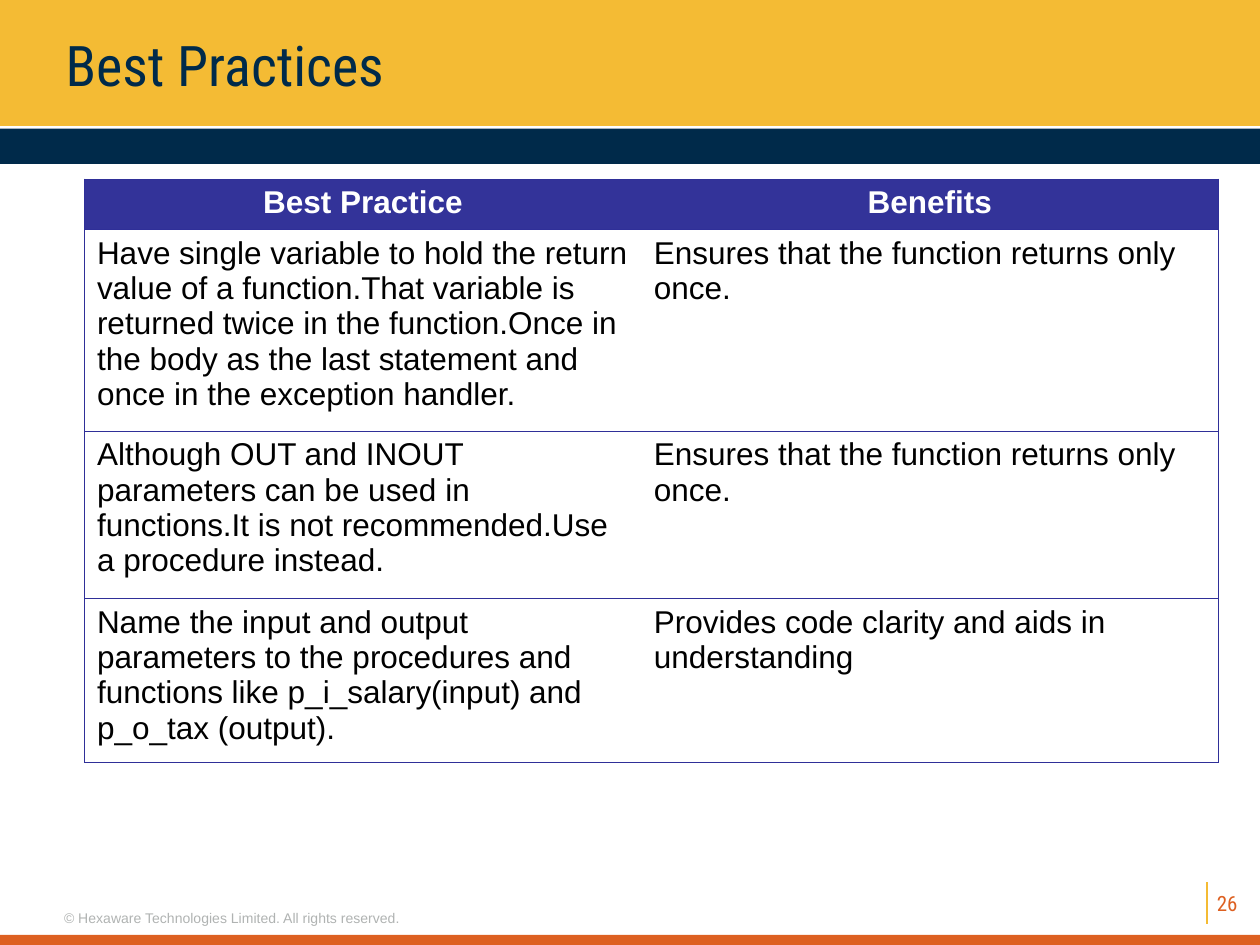
from pptx import Presentation
from pptx.dml.color import RGBColor
from pptx.enum.shapes import MSO_CONNECTOR, MSO_SHAPE
from pptx.enum.text import MSO_ANCHOR, MSO_AUTO_SIZE, PP_ALIGN
from pptx.oxml.ns import qn
from pptx.util import Inches, Pt
from lxml.etree import SubElement

COLORS = {
    "gold": "F4BB34",
    "navy": "002A4A",
    "orange": "DD6021",
    "gray": "B0B3B2",
    "header": "333399",
    "border": "2F2F98",
    "white": "FFFFFF",
    "black": "000000",
}
HEADING_FONT = "Roboto Condensed"
BODY_FONT = "Arial"

PRACTICES = [
    ("Best Practice", "Benefits"),
    (
        "Have single variable to hold the return value of a function.That variable is "
        "returned twice in the function.Once in the body as the last statement and "
        "once in the exception handler.",
        "Ensures that the function returns only once.",
    ),
    (
        "Although OUT and INOUT parameters can be used in functions.It is not "
        "recommended.Use a procedure instead.",
        "Ensures that the function returns only once.",
    ),
    (
        "Name the input and output parameters to the procedures and functions like "
        "p_i_salary(input) and p_o_tax (output).",
        "Provides code clarity and aids in understanding",
    ),
]


class SlideBuilder:
    def __init__(self, slide):
        self.slide = slide
        self.shapes = slide.shapes

    def color(self, name):
        return RGBColor.from_string(COLORS[name])

    def set_text(self, text_frame, text, size, color, font=BODY_FONT, bold=False,
                 align=PP_ALIGN.LEFT):
        text_frame.text = text
        paragraph = text_frame.paragraphs[0]
        paragraph.alignment = align
        run_font = paragraph.runs[0].font
        run_font.name = font
        run_font.size = Pt(size)
        run_font.bold = bold
        run_font.color.rgb = self.color(color)

    def band(self, top, height, color):
        shape = self.shapes.add_shape(
            MSO_SHAPE.RECTANGLE, 0, Inches(top), Inches(10), Inches(height))
        shape.shadow.inherit = False
        shape.fill.solid()
        shape.fill.fore_color.rgb = self.color(color)
        shape.line.fill.background()

    def vertical_line(self, left, top, bottom, color):
        line = self.shapes.add_connector(
            MSO_CONNECTOR.STRAIGHT, Inches(left), Inches(top), Inches(left), Inches(bottom))
        line.line.color.rgb = self.color(color)
        line.line.width = Pt(0.75)
        SubElement(line._element.spPr, qn("a:effectLst"))

    def title(self, text, left, top, width, height):
        title = self.shapes.title
        title.left, title.top = Inches(left), Inches(top)
        title.width, title.height = Inches(width), Inches(height)
        title.text_frame.vertical_anchor = MSO_ANCHOR.MIDDLE
        title.text_frame.auto_size = MSO_AUTO_SIZE.NONE
        self.set_text(title.text_frame, text, 32, "navy", HEADING_FONT)
        self.shapes._spTree.append(title._element)

    def text(self, text, left, top, width, height, size, color, wrap=True,
             anchor=MSO_ANCHOR.TOP, **style):
        box = self.shapes.add_textbox(
            Inches(left), Inches(top), Inches(width), Inches(height))
        box.text_frame.word_wrap = wrap
        box.text_frame.vertical_anchor = anchor
        self.set_text(box.text_frame, text, size, color, **style)

    def borders(self, cell, hidden_side):
        properties = cell._tc.get_or_add_tcPr()
        for side in ("lnL", "lnR", "lnT", "lnB"):
            line = SubElement(properties, qn(f"a:{side}"), w=str(Pt(0.34)))
            if side == hidden_side:
                SubElement(line, qn("a:noFill"))
            else:
                fill = SubElement(line, qn("a:solidFill"))
                SubElement(fill, qn("a:srgbClr"), val=COLORS["border"])

    def table(self, rows, left, top, widths, heights):
        table = self.shapes.add_table(
            len(rows), len(widths), Inches(left), Inches(top),
            Inches(sum(widths)), Inches(sum(heights))).table
        table.first_row = table.horz_banding = False
        for column, width in zip(table.columns, widths):
            column.width = Inches(width)
        for row_index, (texts, height) in enumerate(zip(rows, heights)):
            table.rows[row_index].height = Inches(height)
            for column_index, text in enumerate(texts):
                cell = table.cell(row_index, column_index)
                self.borders(cell, "lnL" if column_index else "lnR")
                if row_index == 0:
                    cell.fill.solid()
                    cell.fill.fore_color.rgb = self.color("header")
                    self.set_text(cell.text_frame, text, 18, "white", bold=True,
                                  align=PP_ALIGN.CENTER)
                else:
                    cell.fill.background()
                    self.set_text(cell.text_frame, text, 18, "black")


def main():
    presentation = Presentation()
    presentation.slide_width = Inches(10)
    presentation.slide_height = Inches(7.5)
    slide = presentation.slides.add_slide(presentation.slide_layouts[5])
    builder = SlideBuilder(slide)

    builder.band(0, 1, "gold")
    builder.band(1.02, 0.28, "navy")
    builder.band(7.42, 0.08, "orange")
    builder.vertical_line(9.58, 7, 7.33, "gold")
    builder.text("26", 9.5, 7, 0.42, 0.33, 12, "orange", anchor=MSO_ANCHOR.MIDDLE,
                 font=HEADING_FONT, align=PP_ALIGN.RIGHT)
    builder.text("© Hexaware Technologies Limited. All rights reserved.",
                 0.41, 7.17, 2.92, 0.24, 8, "gray", wrap=False)
    builder.title("Best Practices", 0.42, 0.17, 9.17, 0.67)
    builder.table(PRACTICES, 0.67, 1.42, (4.42, 4.58), (0.4, 1.6, 1.33, 1.3))

    presentation.save("out.pptx")


if __name__ == "__main__":
    main()
